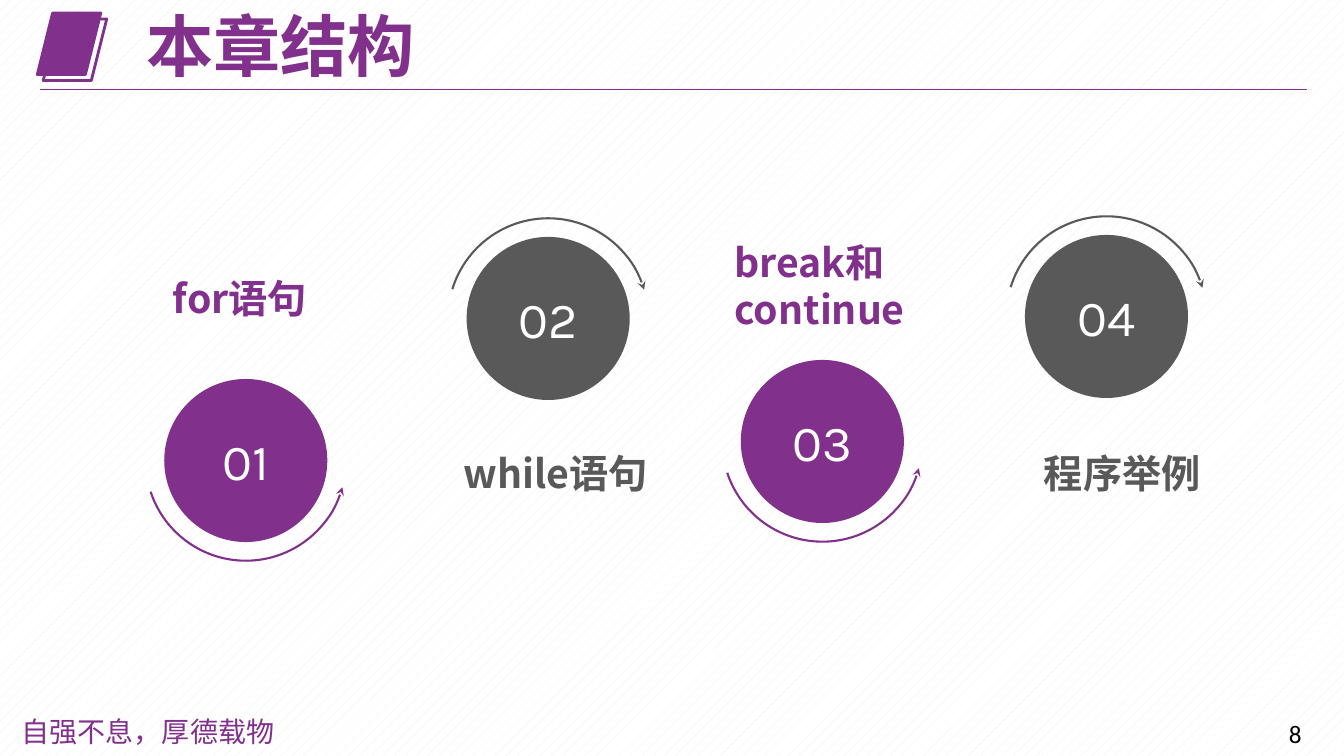
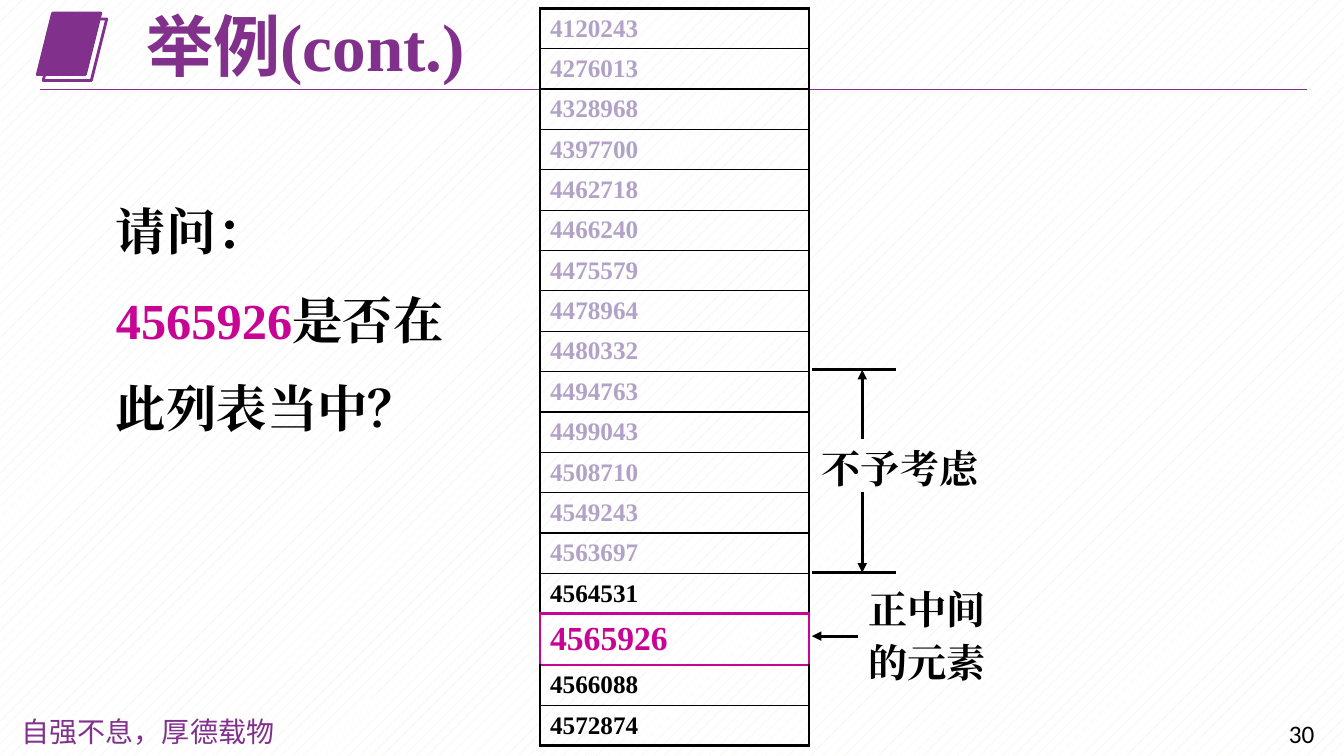
import dataclasses
import lxml.etree
import pptx
import pptx.dml.color
import pptx.enum.dml
import pptx.enum.lang
import pptx.enum.shapes
import pptx.enum.text
import pptx.oxml.ns
import pptx.util

Cm = pptx.util.Cm
Pt = pptx.util.Pt
qn = pptx.oxml.ns.qn
SHAPE = pptx.enum.shapes.MSO_SHAPE
ALIGN = pptx.enum.text.PP_ALIGN
ANCHOR = pptx.enum.text.MSO_ANCHOR


@dataclasses.dataclass(frozen=True)
class Theme:
    main: str = "81308C"
    gray: str = "595959"
    ink: str = "000000"
    paper: str = "FFFFFF"
    weave: str = "EEECE1"
    faded: str = "B3A2C7"
    hot: str = "C80495"
    sans: str = "Noto Sans CJK SC"
    motto: str = "Noto Sans CJK JP"
    serif: str = "Times New Roman"
    digit: str = "Karla"
    plain: str = "Calibri"
    head: int = 48
    big: int = 36
    label: int = 28
    key: int = 24
    foot: int = 20
    small: int = 18


T = Theme()


def rgb(code):
    return pptx.dml.color.RGBColor.from_string(code)


def add_run(para, text, size, face, color, bold=True):
    run = para.add_run()
    run.text = text
    font = run.font
    font.size, font.name, font.bold = Pt(size), face, bold
    font.color.rgb = rgb(color)
    font.language_id = pptx.enum.lang.MSO_LANGUAGE_ID.SIMPLIFIED_CHINESE
    east = lxml.etree.Element(qn("a:ea"), typeface=face)
    run.font._element.find(qn("a:latin")).addnext(east)


def add_text(slide, box, paras, gap=0, wrap=True):
    frame = slide.shapes.add_textbox(*map(Cm, box)).text_frame
    frame.word_wrap = wrap
    for i, runs in enumerate(paras):
        para = frame.add_paragraph() if i else frame.paragraphs[0]
        if i:
            para.space_before = Pt(gap)
        for run in runs:
            add_run(para, *run)


def add_form(shapes, kind, box, fill=None, line=None, width=1.5):
    form = shapes.add_shape(kind, *map(Cm, box))
    form.shadow.inherit = False
    if fill:
        form.fill.solid()
        form.fill.fore_color.rgb = rgb(fill)
    else:
        form.fill.background()
    if line:
        form.line.color.rgb = rgb(line)
        form.line.width = Pt(width)
    else:
        form.line.fill.background()
    return form


def add_tip(form, end, kind):
    line = form.line._get_or_add_ln()
    lxml.etree.SubElement(line, qn("a:" + end), type=kind)


def add_rule(slide, start, stop, color=T.ink, width=2.25, tip=False):
    rule = slide.shapes.add_connector(
        pptx.enum.shapes.MSO_CONNECTOR.STRAIGHT, *map(Cm, start + stop))
    rule.line.color.rgb = rgb(color)
    rule.line.width = Pt(width)
    if tip:
        add_tip(rule, "tailEnd", "triangle")
    lxml.etree.SubElement(rule._element.spPr, qn("a:effectLst"))


def set_back(master):
    fill = master.background.fill
    fill.patterned()
    fill.pattern = pptx.enum.dml.MSO_PATTERN.PERCENT_10
    fill.fore_color.rgb = rgb(T.weave)
    fill.back_color.rgb = rgb(T.paper)


def add_slide(deck, title, number):
    slide = deck.slides.add_slide(deck.slide_layouts[5])
    mark = slide.shapes.add_group_shape().shapes
    for step, fill in ((0, T.main), (0.15, None)):
        add_form(mark, SHAPE.PARALLELOGRAM,
                 (0.94 + step, 0.33 + step, 1.6, 1.55), fill, T.main, 2)
    add_rule(slide, (1.02, 2.26), (32.94, 2.26), T.main, 0.75)
    head = slide.shapes.title
    head.left, head.top, head.width, head.height = map(Cm, (3.43, 0.28, 18, 1.93))
    frame = head.text_frame
    frame.word_wrap = True
    frame.auto_size = pptx.enum.text.MSO_AUTO_SIZE.NONE
    frame.vertical_anchor = ANCHOR.MIDDLE
    para = frame.paragraphs[0]
    para.alignment = ALIGN.LEFT
    para.line_spacing = 0.9
    for text, face in title:
        add_run(para, text, T.head, face, T.main)
    add_text(slide, (0.3, 17.88, 7.06, 1.12),
             [[("自强不息，厚德载物", T.foot, T.motto, T.main, False)]])
    add_text(slide, (32.23, 17.98, 1.55, 1.02),
             [[(number, T.small, T.plain, T.ink, False)]], wrap=False)
    return slide


def add_stop(slide, left, top, number, color, over):
    size, rim = 4.11, 0.47
    shapes = slide.shapes.add_group_shape().shapes
    disc = add_form(shapes, SHAPE.OVAL, (left, top, size, size), color)
    disc.text_frame.vertical_anchor = ANCHOR.MIDDLE
    para = disc.text_frame.paragraphs[0]
    para.alignment = ALIGN.CENTER
    add_run(para, number, T.big, T.digit, T.paper, False)
    span = size + 2 * rim
    arc = add_form(shapes, SHAPE.ARC, (left - rim, top - rim, span, span), None, color)
    arc.adjustments[0], arc.adjustments[1] = 145.86, 17.63
    arc.rotation = 46.4 if over else 132.4
    if over:
        arc._element.spPr.xfrm.set("flipH", "1")
    add_tip(arc, "headEnd", "stealth")


def add_plan(deck):
    slide = add_slide(deck, [("本章结构", T.sans)], "8")
    stops = (
        ((4.14, 9.55), "for语句", (4.11, 6.78, 5.18, 1.9)),
        ((11.76, 5.97), "while语句", (11.43, 11.2, 6.4, 1.5)),
        ((18.67, 9.07), "break和continue", (18.26, 5.87, 5.18, 2.77)),
        ((25.83, 5.92), "程序举例", (26.06, 11.2, 6.4, 1.5)),
    )
    for i, (place, text, box) in enumerate(stops):
        over = i % 2 == 1
        color = T.gray if over else T.main
        add_stop(slide, *place, f"{i + 1:02}", color, over)
        add_text(slide, box, [[(text, T.label, T.sans, color)]])


def set_edge(cell, side, color, width):
    line = lxml.etree.SubElement(
        cell._tc.get_or_add_tcPr(), qn("a:ln" + side), w=str(Pt(width)))
    fill = lxml.etree.SubElement(line, qn("a:solidFill"))
    lxml.etree.SubElement(fill, qn("a:srgbClr"), val=color)


def add_list(slide, box, items, hit, faded):
    left, top, width, height = box
    tall = 1.29
    count = len(items)
    table = slide.shapes.add_table(count, 1, *map(Cm, box)).table
    table.first_row = table.horz_banding = False
    table.columns[0].width = Cm(width)
    for i, item in enumerate(items):
        table.rows[i].height = Cm(tall if i == hit else (height - tall) / (count - 1))
        cell = table.cell(i, 0)
        cell.vertical_anchor = ANCHOR.MIDDLE
        color = T.hot if i == hit else T.faded if i < faded else T.ink
        size = T.key if i == hit else T.small
        add_run(cell.text_frame.paragraphs[0], item, size, T.serif, color)
        for side in "LRTB":
            near = {"T": i - 1, "B": i + 1}.get(side, i)
            edge = T.hot if hit in (i, near) else T.ink
            thin = edge == T.ink and near != i and 0 <= near < count
            set_edge(cell, side, edge, 1 if thin else 2.25)
        cell.fill.background()


def add_notes(slide, left, top):
    for drop in (0, 5.13):
        add_rule(slide, (left, top + drop), (left + 2.13, top + drop))
    mid = left + 1.27
    add_rule(slide, (mid, top + 1.77), (mid, top + 0.02), tip=True)
    add_rule(slide, (mid, top + 3.1), (mid, top + 5.13), tip=True)
    add_text(slide, (left, top + 1.77, 4.47, 1.45),
             [[("不予考虑", T.label, T.serif, T.ink)]], wrap=False)
    add_rule(slide, (left + 1.17, top + 6.73), (left, top + 6.73), tip=True)
    add_text(slide, (left + 1.17, top + 5.33, 3.48, 2.74),
             [[(text, T.label, T.serif, T.ink)] for text in ("正中间", "的元素")],
             gap=4, wrap=False)


def add_search(deck):
    slide = add_slide(deck, [("举例", T.sans), ("(cont.)", T.serif)], "30")
    items = (
        "4120243 4276013 4328968 4397700 4462718 4466240 4475579 4478964 4480332 "
        "4494763 4499043 4508710 4549243 4563697 4564531 4565926 4566088 4572874"
    ).split()
    add_list(slide, (13.61, 0.21, 6.78, 18.54), items, 15, 14)
    add_text(slide, (2.67, 4.93, 8.79, 6.35), [
        [("请问：", T.big, T.serif, T.ink)],
        [("4565926", T.big, T.serif, T.hot), ("是否在", T.big, T.serif, T.ink)],
        [("此列表当中？", T.big, T.serif, T.ink)],
    ], gap=20)
    add_notes(slide, 20.46, 9.3)


def main():
    deck = pptx.Presentation()
    deck.slide_width, deck.slide_height = Cm(33.87), Cm(19.05)
    set_back(deck.slide_master)
    add_plan(deck)
    add_search(deck)
    deck.save("out.pptx")


if __name__ == "__main__":
    main()
